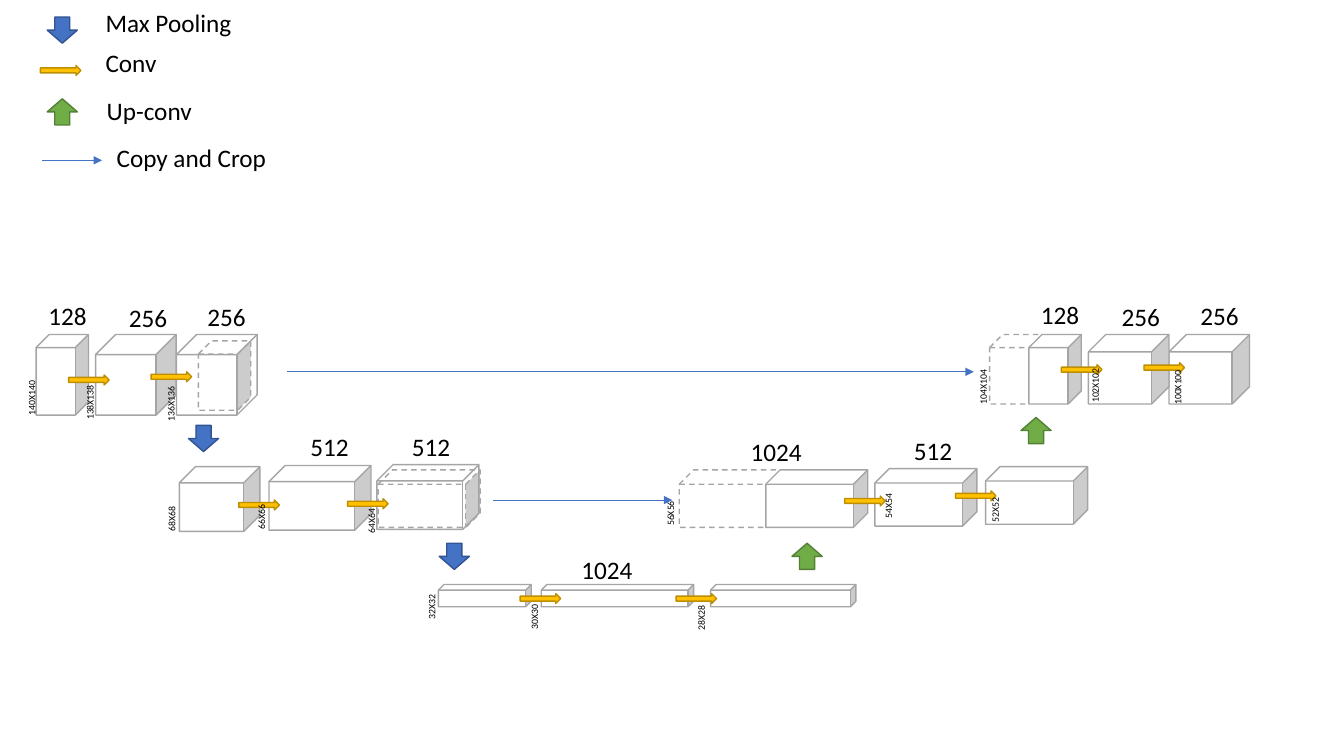
from dataclasses import dataclass

from lxml.etree import SubElement
from pptx import Presentation
from pptx.dml.color import RGBColor
from pptx.enum.dml import MSO_LINE
from pptx.enum.shapes import MSO_CONNECTOR, MSO_SHAPE
from pptx.enum.text import MSO_AUTO_SIZE
from pptx.oxml.ns import qn
from pptx.util import Cm, Pt


@dataclass(frozen=True)
class Theme:
    """Colours, font and type sizes of the diagram."""
    font: str = "Calibri"
    label_size: float = 18
    dimension_size: float = 7
    outline: float = 1
    copy_outline: float = 0.5
    text: str = "000000"
    cube: tuple = ("FFFFFF", "A5A5A5")
    pool: tuple = ("4472C4", "325491")
    conv: tuple = ("FFC000", "BD8E00")
    up: tuple = ("70AD47", "538035")
    copy: str = "4472C4"


THEME = Theme()

# Feature maps from back to front: left, top, width, height, style (cm)
FEATURE_MAPS = [
    (24.94, 8.43, 1.32, 1.75, "crop"),
    (9.53, 11.84, 2.57, 1.45, "crop"),
    (17.12, 11.84, 2.57, 1.45, "crop"),
    (0.91, 8.43, 1.32, 2.03, "solid"),
    (2.41, 8.43, 2.03, 2.03, "solid"),
    (5.0, 8.59, 1.32, 1.75, "crop"),
    (4.45, 8.43, 2.03, 2.03, "open"),
    (4.52, 11.76, 2.03, 1.63, "solid"),
    (6.78, 11.73, 2.57, 1.63, "solid"),
    (9.5, 11.71, 2.57, 1.63, "open"),
    (11.05, 14.73, 2.34, 0.56, "solid"),
    (13.64, 14.73, 3.84, 0.56, "solid"),
    (17.91, 14.73, 3.66, 0.56, "solid"),
    (19.3, 11.84, 2.57, 1.45, "solid"),
    (22.05, 11.81, 2.57, 1.45, "solid"),
    (24.84, 11.76, 2.57, 1.45, "solid"),
    (29.46, 8.43, 2.03, 1.75, "solid"),
    (27.43, 8.43, 2.03, 1.75, "solid"),
    (25.93, 8.43, 1.32, 1.75, "solid"),
]

# Operation: preset, size, colours, positions (the first is the legend key)
OPERATIONS = [
    (MSO_SHAPE.DOWN_ARROW, (0.76, 0.66), THEME.pool,
     [(1.19, 0.43), (4.75, 10.72), (11.07, 13.69)]),
    (MSO_SHAPE.RIGHT_ARROW, (1.02, 0.25), THEME.conv,
     [(1.02, 1.65), (1.73, 9.45), (3.81, 9.37), (6.02, 12.6), (8.76, 12.57),
      (13.11, 14.96), (17.04, 14.96), (21.29, 12.5), (24.08, 12.37),
      (26.75, 9.19), (28.83, 9.14)]),
    (MSO_SHAPE.UP_ARROW, (0.76, 0.66), THEME.up,
     [(1.19, 2.49), (19.96, 13.69), (25.73, 10.52)]),
]

# Copy and crop: start, end, height on the slide
COPIES = [(1.07, 2.57, 4.04), (7.24, 24.54, 9.37), (12.42, 16.94, 12.6)]

# Legend entry: text, left, top, width
LEGEND = [
    ("Max Pooling", 2.41, 0.05, 3.71),
    ("Conv", 2.41, 1.07, 1.8),
    ("Up-conv", 2.44, 2.29, 2.67),
    ("Copy and Crop", 2.69, 3.45, 4.32),
]

# Channel count: text, left, top
CHANNELS = [
    ("128", 0.97, 7.44), ("256", 3.0, 7.49), ("256", 4.98, 7.47),
    ("512", 7.57, 10.74), ("512", 10.13, 10.74), ("1024", 14.4, 13.84),
    ("1024", 18.67, 10.87), ("512", 22.78, 10.85),
    ("128", 25.98, 7.42), ("256", 28.02, 7.47), ("256", 30.0, 7.44),
]

# Side length of a square map, and the centre of its label
DIMENSIONS = [
    (140, 0.8, 10.01), (138, 2.27, 10.13), (136, 4.31, 10.16),
    (68, 4.33, 13.06), (66, 6.59, 13.03), (64, 9.36, 13.13),
    (32, 10.88, 15.29), (30, 13.47, 15.54), (28, 17.67, 15.57),
    (56, 16.9, 12.93), (54, 22.39, 12.75), (52, 25.08, 12.85),
    (104, 24.78, 9.73), (102, 27.6, 9.7), (100, 29.68, 9.75),
]


def apply_format(target, values):
    """Set each attribute named in values on target."""
    for attribute, value in values.items():
        setattr(target, attribute, value)


def add_solid(slide, preset, box, colours, filled=True, dash=None):
    """Add a preset shape with fill and outline, box given in cm."""
    solid = slide.shapes.add_shape(preset, *map(Cm, box))
    solid.shadow.inherit = False
    fill, outline = colours
    if filled:
        solid.fill.solid()
        solid.fill.fore_color.rgb = RGBColor.from_string(fill)
    else:
        solid.fill.background()
    solid.line.color.rgb = RGBColor.from_string(outline)
    apply_format(solid.line, {"width": Pt(THEME.outline), "dash_style": dash})


def add_feature_map(slide, box, style):
    """Add a cube: solid, open (no fill) or crop (dashed)."""
    add_solid(slide, MSO_SHAPE.CUBE, box, THEME.cube, style != "open",
              MSO_LINE.DASH if style == "crop" else None)


def add_copy_arrow(slide, start, end, level):
    """Add a thin horizontal arrow for copy and crop."""
    arrow = slide.shapes.add_connector(
        MSO_CONNECTOR.STRAIGHT, Cm(start), Cm(level), Cm(end), Cm(level))
    arrow.line.color.rgb = RGBColor.from_string(THEME.copy)
    arrow.line.width = Pt(THEME.copy_outline)
    SubElement(arrow.line._get_or_add_ln(), qn("a:tailEnd"), type="triangle")
    SubElement(arrow._element.spPr, qn("a:effectLst"))


def add_label(slide, text, box, size, rotation=0):
    """Add one line of text, box given in cm."""
    label = slide.shapes.add_textbox(*map(Cm, box))
    label.rotation = rotation
    apply_format(label.text_frame, {
        "word_wrap": False, "auto_size": MSO_AUTO_SIZE.SHAPE_TO_FIT_TEXT})
    run = label.text_frame.paragraphs[0].add_run()
    run.text = text
    apply_format(run.font, {"name": THEME.font, "size": Pt(size)})
    run.font.color.rgb = RGBColor.from_string(THEME.text)


def add_dimension(slide, side, centre_x, centre_y):
    """Add the size of a square map, reading upwards."""
    width, height = (1.4 if side >= 100 else 1.14), 0.56
    box = (centre_x - width / 2, centre_y - height / 2, width, height)
    add_label(slide, f"{side}X{side}", box, THEME.dimension_size, 270)


def main():
    """Build the network diagram and save it."""
    deck = Presentation()
    apply_format(deck, {"slide_width": Cm(33.87), "slide_height": Cm(19.05)})
    slide = deck.slides.add_slide(deck.slide_layouts[6])

    for *box, style in FEATURE_MAPS:
        add_feature_map(slide, box, style)
    for copy_span in COPIES:
        add_copy_arrow(slide, *copy_span)
    for preset, size, colours, positions in OPERATIONS:
        for position in positions:
            add_solid(slide, preset, position + size, colours)
    for text, left, top, width in LEGEND:
        add_label(slide, text, (left, top, width, 1.02), THEME.label_size)
    for text, left, top in CHANNELS:
        width = 0.6 + 0.3 * len(text)
        add_label(slide, text, (left, top, width, 1.02), THEME.label_size)
    for dimension in DIMENSIONS:
        add_dimension(slide, *dimension)

    deck.save("out.pptx")


main()
